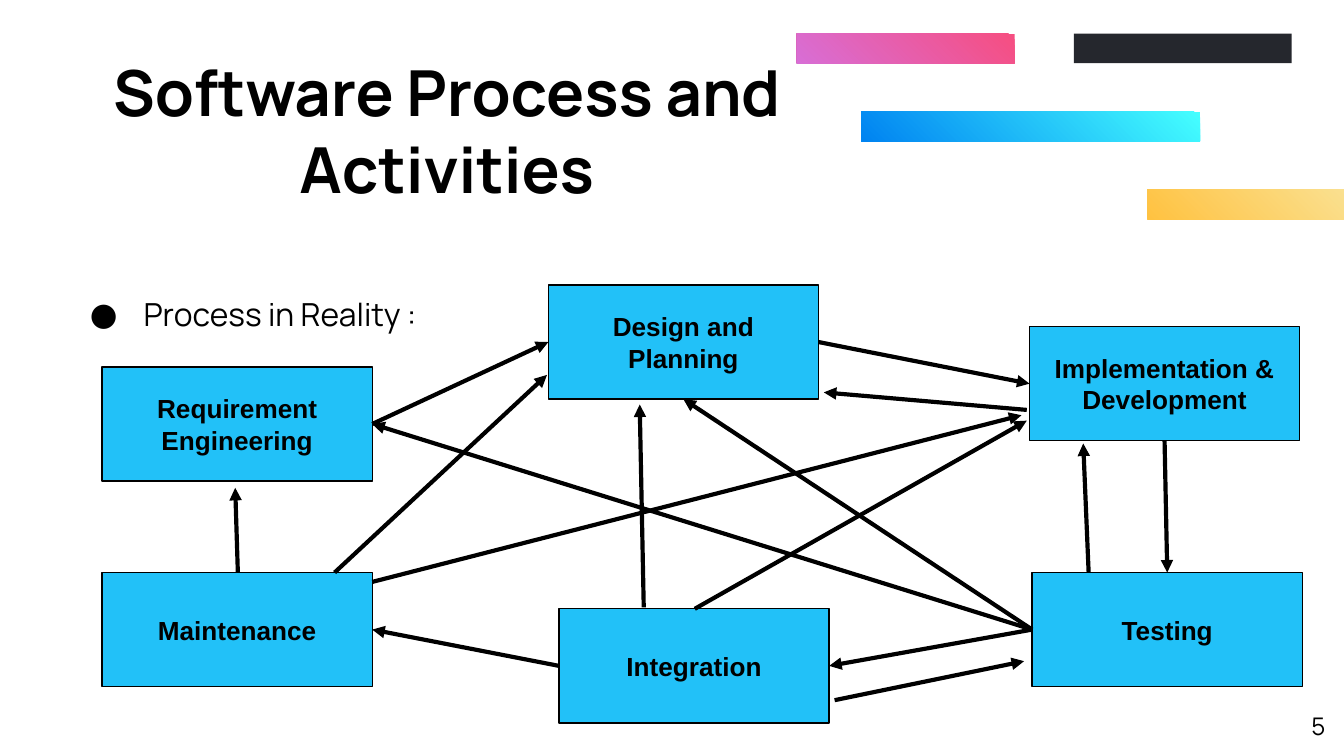
import lxml.etree
import pptx
import pptx.dml.color
import pptx.enum.shapes
import pptx.enum.text
import pptx.oxml.ns
import pptx.util

Inches = pptx.util.Inches
Pt = pptx.util.Pt
RGBColor = pptx.dml.color.RGBColor
PP_ALIGN = pptx.enum.text.PP_ALIGN
MSO_ANCHOR = pptx.enum.text.MSO_ANCHOR
MSO_SHAPE = pptx.enum.shapes.MSO_SHAPE
qn = pptx.oxml.ns.qn

BLACK = RGBColor(0x00, 0x00, 0x00)
CHARCOAL = RGBColor(0x25, 0x27, 0x2D)
BOX_BLUE = RGBColor(0x22, 0xC1, 0xF8)
CYAN = RGBColor(0x45, 0xFF, 0xFF)
BLUE = RGBColor(0x00, 0x83, 0xF1)
PINK = RGBColor(0xF6, 0x4E, 0x81)
ORCHID = RGBColor(0xD8, 0x6E, 0xD5)
CREAM = RGBColor(0xFA, 0xE0, 0x8F)
AMBER = RGBColor(0xFF, 0xC2, 0x41)

BOX_W, BOX_H = 2.01, 0.85
BAR_H = 0.22


def write_text(sp, text, size, font, align, anchor, bold=False):
    """Fill a shape with one run of black text and return its paragraph."""
    tf = sp.text_frame
    tf.word_wrap = True
    tf.vertical_anchor = anchor
    tf.margin_left = tf.margin_right = Inches(0.1)
    tf.margin_top = tf.margin_bottom = Inches(0.1)
    p = tf.paragraphs[0]
    p.alignment = align
    r = p.add_run()
    r.text = text
    r.font.size = Pt(size)
    r.font.name = font
    r.font.bold = bold
    r.font.color.rgb = BLACK
    return p


def add_arrow(start=(0, 0), end=(0, 0)):
    c = s.shapes.add_connector(
        pptx.enum.shapes.MSO_CONNECTOR.STRAIGHT,
        *[Inches(v) for v in (*start, *end)])
    c.line.color.rgb = BLACK
    c.line.width = Pt(2.25)
    ln = c.line._get_or_add_ln()
    lxml.etree.SubElement(ln, qn("a:tailEnd"), type="triangle")
    lxml.etree.SubElement(ln.getparent(), qn("a:effectLst"))
    return c


prs = pptx.Presentation()
prs.slide_width = Inches(10)
prs.slide_height = Inches(10) * 9 // 16
s = prs.slides.add_slide(prs.slide_layouts[6])

# Decorative bars: left, top, width, colours from right to left
bars = [
    (6.41, 0.83, 2.52, (CYAN, BLUE)),
    (7.99, 0.25, 1.62, (CHARCOAL,)),
    (5.93, 0.25, 1.62, (PINK, ORCHID)),
    (8.54, 1.41, 1.46, (CREAM, AMBER)),
]
for left, top, width, colors in bars:
    sp = s.shapes.add_shape(MSO_SHAPE.RECTANGLE, Inches(left), Inches(top),
                            Inches(width), Inches(BAR_H))
    sp.shadow.inherit = False
    sp.line.fill.background()
    if len(colors) == 1:
        sp.fill.solid()
        sp.fill.fore_color.rgb = colors[0]
    else:
        sp.fill.gradient()
        sp.fill.gradient_angle = 225
        for stop, color in zip(sp.fill.gradient_stops, colors):
            stop.color.rgb = color

# Title, bullet and slide number
title = s.shapes.add_textbox(Inches(0.26), Inches(0.25), Inches(6.13), Inches(1.43))
write_text(title, "Software Process and Activities", 34, "Manrope",
           PP_ALIGN.CENTER, MSO_ANCHOR.MIDDLE, bold=True)

subtitle = s.shapes.add_textbox(Inches(0.47), Inches(1.95), Inches(9.06), Inches(0.51))
p = write_text(subtitle, "Process in Reality :", 17, "Manrope",
               PP_ALIGN.LEFT, MSO_ANCHOR.TOP)
p.line_spacing = 1.5
pPr = p._p.get_or_add_pPr()
pPr.set("marL", str(Inches(0.5)))
pPr.set("indent", str(Inches(-0.4)))
lxml.etree.SubElement(pPr, qn("a:buFont"), typeface="Manrope")
lxml.etree.SubElement(pPr, qn("a:buChar"), char="●")

number = s.shapes.add_textbox(Inches(9.36), Inches(5.19), Inches(0.6), Inches(0.43))
write_text(number, "5", 13, "Manrope", PP_ALIGN.RIGHT, MSO_ANCHOR.TOP)

# Process activities
activities = [
    ("Design and Planning", 4.08, 2.12),
    ("Implementation & Development", 7.66, 2.43),
    ("Testing", 7.68, 4.26),
    ("Integration", 4.16, 4.53),
    ("Maintenance", 0.76, 4.26),
    ("Requirement Engineering", 0.76, 2.73),
]
boxes = []
for name, left, top in activities:
    sp = s.shapes.add_shape(MSO_SHAPE.RECTANGLE, Inches(left), Inches(top),
                            Inches(BOX_W), Inches(BOX_H))
    sp.shadow.inherit = False
    sp.fill.solid()
    sp.fill.fore_color.rgb = BOX_BLUE
    sp.line.color.rgb = BLACK
    sp.line.width = Pt(0.75)
    write_text(sp, name, 14, "Arial", PP_ALIGN.CENTER, MSO_ANCHOR.MIDDLE, bold=True)
    boxes.append(sp)
design, implementation, testing, integration, maintenance, requirement = boxes

# Arrows glued to the middle of box sides
TOP, LEFT, BOTTOM, RIGHT = range(4)
glued_arrows = [
    (requirement, RIGHT, design, LEFT),
    (design, RIGHT, implementation, LEFT),
    (implementation, BOTTOM, testing, TOP),
    (testing, LEFT, integration, RIGHT),
    (integration, LEFT, maintenance, RIGHT),
    (testing, LEFT, requirement, RIGHT),
    (testing, LEFT, design, BOTTOM),
]
for source, source_side, target, target_side in glued_arrows:
    c = add_arrow()
    c.begin_connect(source, source_side)
    c.end_connect(target, target_side)

# Arrows that start or end away from the middle of a side
free_arrows = [
    ((7.64, 3.05), (6.13, 2.92)),
    ((8.1, 4.26), (8.06, 3.3)),
    ((1.77, 4.26), (1.75, 3.63)),
    ((6.21, 5.21), (7.62, 4.92)),
    ((4.79, 4.52), (4.76, 3.01)),
    ((5.17, 4.53), (7.64, 3.13)),
    ((2.49, 4.26), (4.07, 2.79)),
    ((2.77, 4.33), (7.6, 3.09)),
]
for start, end in free_arrows:
    add_arrow(start, end)

prs.save("out.pptx")
